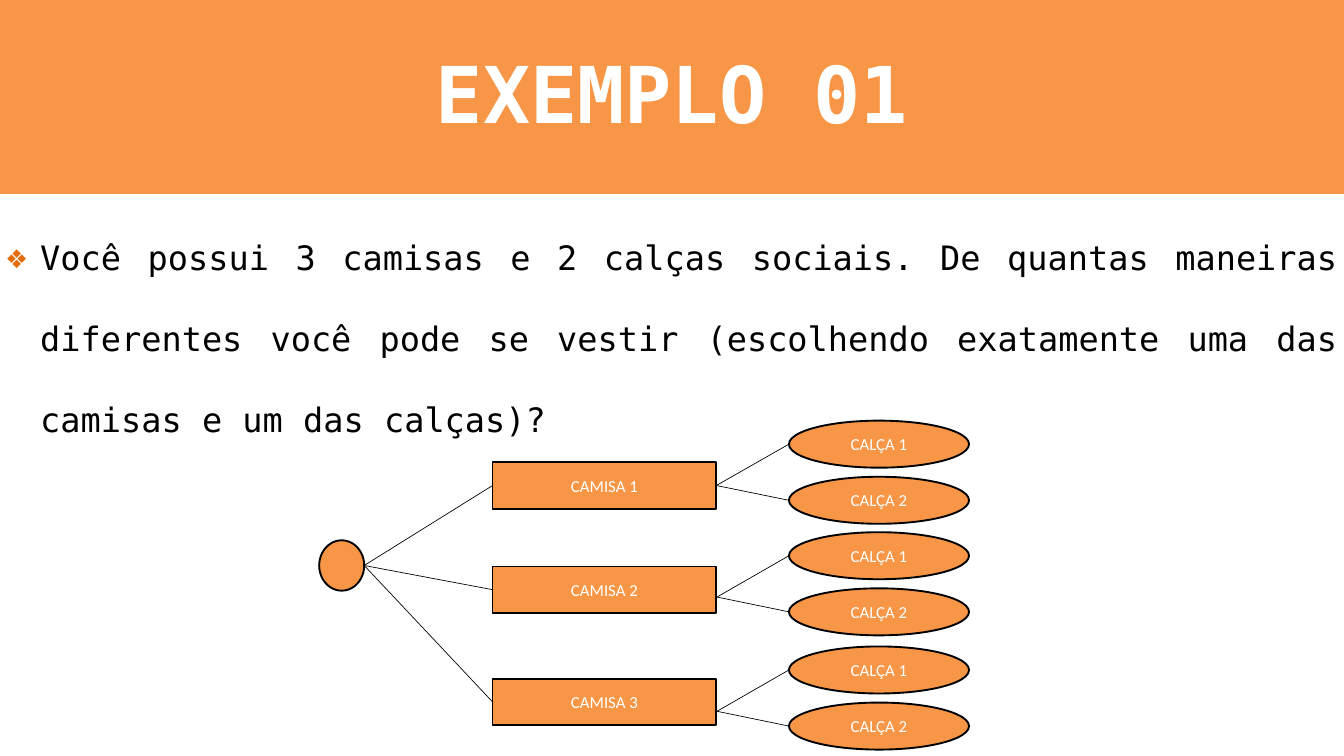
from dataclasses import dataclass

from lxml import etree
from pptx import Presentation
from pptx.dml.color import RGBColor
from pptx.enum.shapes import MSO_CONNECTOR, MSO_SHAPE
from pptx.enum.text import MSO_ANCHOR, MSO_AUTO_SIZE, PP_ALIGN
from pptx.oxml.ns import qn
from pptx.util import Inches, Pt

RECT, OVAL = MSO_SHAPE.RECTANGLE, MSO_SHAPE.OVAL
STRAIGHT = MSO_CONNECTOR.STRAIGHT
CENTER, JUSTIFY = PP_ALIGN.CENTER, PP_ALIGN.JUSTIFY
TOP, MIDDLE = MSO_ANCHOR.TOP, MSO_ANCHOR.MIDDLE
GROW = MSO_AUTO_SIZE.SHAPE_TO_FIT_TEXT
LEFT_SITE, RIGHT_SITE = 1, 3


@dataclass(frozen=True)
class Theme:
    orange: RGBColor = RGBColor(0xF7, 0x96, 0x46)
    bullet: str = "E46C0A"
    black: RGBColor = RGBColor(0, 0, 0)
    white: RGBColor = RGBColor(0xFF, 0xFF, 0xFF)
    mono: str = "DejaVu Sans Mono"
    sans: str = "Calibri"
    title: Pt = Pt(84)
    title_leading: Pt = Pt(91.2)
    body: Pt = Pt(36)
    label: Pt = Pt(18)
    outline: Pt = Pt(2)
    branch: Pt = Pt(0.75)


THEME = Theme()

QUESTION = (
    "Você possui 3 camisas e 2 calças sociais. De quantas maneiras diferentes "
    "você pode se vestir (escolhendo exatamente uma das camisas e um das calças)?"
)

SHIRT_X, SHIRT_W, SHIRT_H = 7.33, 3.33, 0.69
SHIRT_TOPS = (6.88, 8.43, 10.1)
TROUSER_X, TROUSER_W, TROUSER_H = 11.74, 2.68, 0.7
TROUSER_TOPS = (6.26, 7.92, 9.62)  # first of each pair
TROUSER_STEP = 0.835
FORK_X, FORK_DROP = 10.67, 0.965
ROOT_X, ROOT_Y, ROOT_W, ROOT_H = 4.75, 8.04, 0.67, 0.75


def add_run(p, text, size, font, color, bold=False):
    r = p.add_run()
    r.text = text
    r.font.size, r.font.name, r.font.bold = size, font, bold
    r.font.color.rgb = color


def add_box(slide, kind, x, y, w, h, line, label=None):
    sp = slide.shapes.add_shape(kind, Inches(x), Inches(y), Inches(w), Inches(h))
    sp.shadow.inherit = False
    sp.fill.solid()
    sp.fill.fore_color.rgb = THEME.orange
    sp.line.color.rgb = line
    sp.line.width = THEME.outline
    if label:
        tf = sp.text_frame
        tf.vertical_anchor = MIDDLE
        p = tf.paragraphs[0]
        p.alignment = CENTER
        add_run(p, label, THEME.label, THEME.sans, THEME.white)
    return sp


def add_branch(slide, x1, y1, x2, y2):
    line = slide.shapes.add_connector(
        STRAIGHT, Inches(x1), Inches(y1), Inches(x2), Inches(y2))
    line.line.color.rgb = THEME.black
    line.line.width = THEME.branch
    etree.SubElement(line._element.spPr, qn("a:effectLst"))
    return line


def add_bullet(p, char, indent):
    pPr = p._p.get_or_add_pPr()
    pPr.set("marL", str(indent))
    pPr.set("indent", str(-indent))
    color = etree.SubElement(pPr, qn("a:buClr"))
    etree.SubElement(color, qn("a:srgbClr"), val=THEME.bullet)
    etree.SubElement(pPr, qn("a:buFont"), typeface=THEME.mono)
    etree.SubElement(pPr, qn("a:buChar"), char=char)


def add_title(slide, text):
    """Fill the title placeholder and put the orange banner behind it."""
    title = slide.shapes.title
    banner = add_box(slide, RECT, 0, 0, 20, 2.88, THEME.orange)
    title._element.addprevious(banner._element)
    title.left, title.top = Inches(0), Inches(0.8)
    title.width, title.height = Inches(20), Inches(1.28)
    tf = title.text_frame
    tf.margin_left = tf.margin_right = tf.margin_top = tf.margin_bottom = 0
    tf.word_wrap, tf.auto_size, tf.vertical_anchor = True, GROW, TOP
    p = tf.paragraphs[0]
    p.alignment, p.line_spacing = CENTER, THEME.title_leading
    add_run(p, text, THEME.title, THEME.mono, THEME.white, bold=True)


def add_question(slide, text):
    box = slide.shapes.add_textbox(Inches(0), Inches(2.88), Inches(20), Inches(3.56))
    tf = box.text_frame
    tf.word_wrap, tf.auto_size = True, GROW
    p = tf.paragraphs[0]
    p.alignment, p.line_spacing = JUSTIFY, 2.0
    add_bullet(p, "❖", Inches(0.5))
    add_run(p, text, THEME.body, THEME.mono, THEME.black)


def add_tree(slide):
    """Draw the root, one box per shirt and two trousers per shirt."""
    add_box(slide, OVAL, ROOT_X, ROOT_Y, ROOT_W, ROOT_H, THEME.black)
    root_right, root_mid = ROOT_X + ROOT_W, ROOT_Y + ROOT_H / 2
    for n, (shirt_y, pair_y) in enumerate(zip(SHIRT_TOPS, TROUSER_TOPS), 1):
        shirt = add_box(slide, RECT, SHIRT_X, shirt_y, SHIRT_W, SHIRT_H,
                        THEME.black, f"CAMISA {n}")
        shirt_mid = shirt_y + SHIRT_H / 2
        branch = add_branch(slide, root_right, root_mid, SHIRT_X, shirt_mid)
        branch.end_connect(shirt, LEFT_SITE)

        fork_y = pair_y + FORK_DROP
        for k in range(2):
            y = pair_y + k * TROUSER_STEP
            add_box(slide, OVAL, TROUSER_X, y, TROUSER_W, TROUSER_H,
                    THEME.black, f"CALÇA {k + 1}")
            branch = add_branch(slide, FORK_X, fork_y, TROUSER_X, y + TROUSER_H / 2)
            if abs(fork_y - shirt_mid) < 0.02:
                branch.begin_connect(shirt, RIGHT_SITE)


def main():
    prs = Presentation()
    prs.slide_width, prs.slide_height = Inches(20), Inches(11.25)
    slide = prs.slides.add_slide(prs.slide_layouts[5])
    add_title(slide, "EXEMPLO 01")
    add_question(slide, QUESTION)
    add_tree(slide)
    prs.save("out.pptx")


if __name__ == "__main__":
    main()
